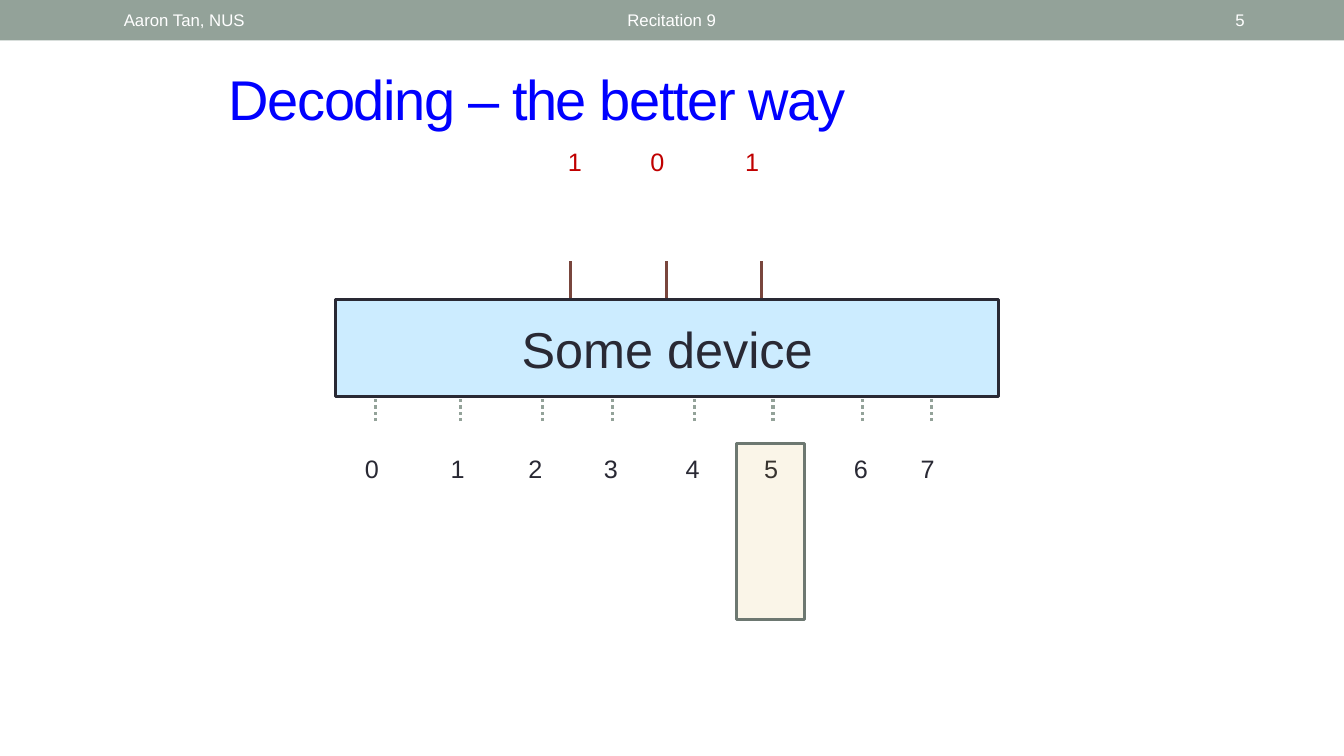
from lxml.etree import SubElement as Sub
from pptx import Presentation as Deck
from pptx.dml.color import RGBColor as RGB
from pptx.enum.dml import MSO_LINE as Dash
from pptx.enum.shapes import MSO_CONNECTOR as Conn, MSO_SHAPE as Shape
from pptx.enum.text import MSO_ANCHOR as Anchor, MSO_AUTO_SIZE as Fit, PP_ALIGN as Align
from pptx.oxml.ns import qn
from pptx.util import Cm, Pt

HUE = {"bar": "93A299", "title": "0000FF", "bit": "C00000", "ink": "292934",
       "lead": "79463D", "device": "CCECFF", "mark": "CC9900",
       "edge": "6D7871", "white": "FFFFFF"}
WIDE, HIGH = 33.87, 19.05

# Offsets from the device's left side
BITS = [("1", 6.02), ("0", 8.1), ("1", 10.49)]
LEADS = [5.92 + 2.41 * i for i in range(3)]
DOTS = [1.01, 3.15, 5.21, 6.98, 9.04, 11.02, 13.28, 15.01]
CODES = [0.91, 3.07, 5.03, 6.93, 8.99, 10.97, 13.23, 14.91]
PICK = 5


def write(item, text, size=18, hue="ink", align=Align.CENTER,
          anchor=Anchor.TOP, fit=Fit.NONE, wrap=True):
    frame = item.text_frame
    frame.word_wrap = wrap
    frame.auto_size = fit
    frame.vertical_anchor = anchor
    para = frame.paragraphs[0]
    para.alignment = align
    run = para.add_run()
    run.text = text
    font = run.font
    font.name, font.size = "Arial", Pt(size)
    font.color.rgb = RGB.from_string(HUE[hue])
    return run


def label(slide, box, text, **form):
    return write(slide.shapes.add_textbox(*map(Cm, box)), text, **form)


def digit(slide, mid, top, text, hue="ink"):
    label(slide, (mid - 0.53, top, 1.07, 1.02), text, hue=hue,
          fit=Fit.SHAPE_TO_FIT_TEXT)


def block(slide, box, fill, edge=None, alpha=None):
    rect = slide.shapes.add_shape(Shape.RECTANGLE, *map(Cm, box))
    rect.shadow.inherit = False
    rect.fill.solid()
    rect.fill.fore_color.rgb = RGB.from_string(HUE[fill])
    if alpha:
        tint = rect.fill._xPr.find(qn("a:solidFill"))[0]
        Sub(tint, qn("a:alpha")).set("val", str(alpha * 1000))
    if edge:
        rect.line.color.rgb = RGB.from_string(HUE[edge])
        rect.line.width = Pt(2.08)
    else:
        rect.line.fill.background()
    return rect


def wire(slide, x, start, end, hue, dash=None):
    line = slide.shapes.add_connector(Conn.STRAIGHT, *map(Cm, (x, start, x, end)))
    line.line.color.rgb = RGB.from_string(HUE[hue])
    line.line.width = Pt(2.25)
    if dash:
        line.line.dash_style = dash
    Sub(line._element.spPr, qn("a:effectLst"))


def header(slide, box):
    left, top, wide, high = box
    block(slide, box, "bar")
    parts = [("Aaron Tan, NUS", 2.87, 8.05, Align.LEFT),
             ("Recitation 9", 7.67, 18.52, Align.CENTER),
             ("5", 29.21, 2.41, Align.RIGHT)]
    for text, x, span, align in parts:
        label(slide, (left + x, top + 0.05, span, high - 0.1), text,
              size=12, hue="white", align=align, anchor=Anchor.MIDDLE)


def heading(slide, box):
    title = slide.shapes.title
    title.left, title.top, title.width, title.height = map(Cm, box)
    run = write(title, "Decoding – the better way", size=40, hue="title",
                align=Align.LEFT, anchor=Anchor.MIDDLE)
    run._r.get_or_add_rPr().set("spc", "-100")


def decoder(slide, box):
    left, top, wide, high = box
    base = top + high
    # Input bits and output codes
    for text, x in BITS:
        digit(slide, left + x, top - 3.98, text, hue="bit")
    for code, x in enumerate(CODES):
        digit(slide, left + x, base + 1.3, str(code))
    # Wires, partly behind the device
    for x in DOTS:
        wire(slide, left + x, base + 0.61, base - 2.13, "bar", Dash.ROUND_DOT)
    for x in LEADS:
        wire(slide, left + x, top - 0.96, top + 0.94, "lead")
    # Chosen output
    block(slide, (left + CODES[PICK] - 0.86, base + 1.17, 1.7, 4.45),
          "mark", "edge", alpha=9)
    # Device
    device = block(slide, box, "device", "ink")
    write(device, "Some device", size=36, anchor=Anchor.MIDDLE)


def main():
    deck = Deck()
    deck.slide_width, deck.slide_height = Cm(WIDE), Cm(HIGH)
    slide = deck.slides.add_slide(deck.slide_layouts[5])
    header(slide, (0, 0, WIDE, 1.02))
    heading(slide, (5.51, 1.47, 22.86, 2.01))
    decoder(slide, (8.46, 7.54, 16.71, 2.46))
    deck.save("out.pptx")


if __name__ == "__main__":
    main()
